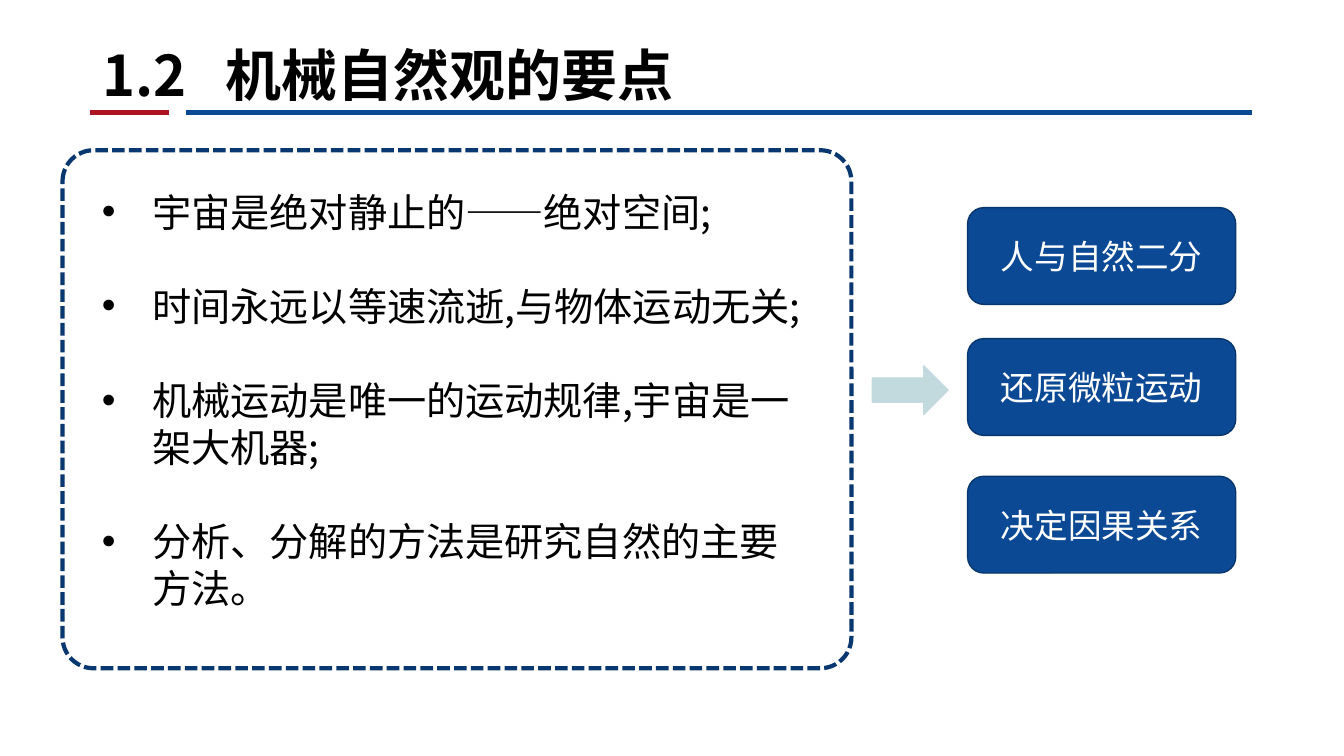
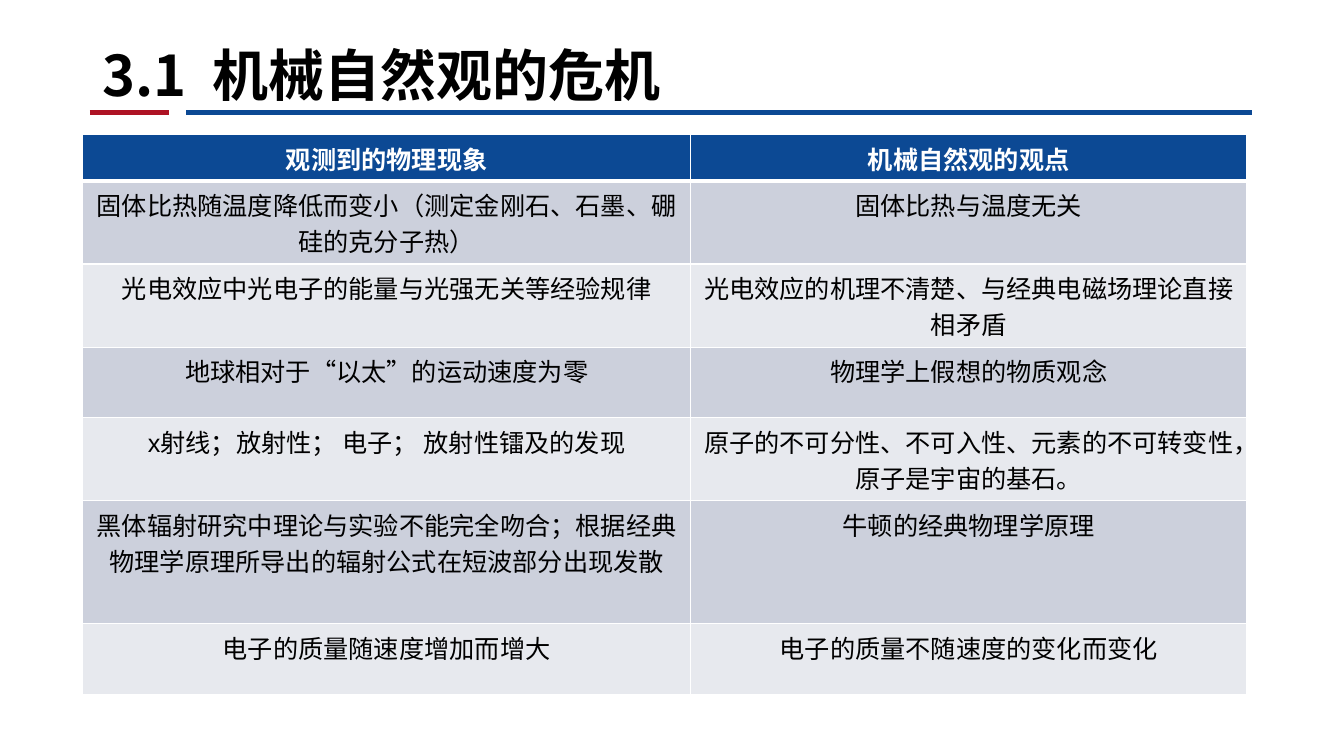
from dataclasses import dataclass

import pptx
import pptx.util
import pptx.dml.color
import pptx.enum.dml
import pptx.enum.shapes
import pptx.enum.text
import pptx.oxml
import pptx.oxml.ns
from lxml import etree

Pt = pptx.util.Pt
SHAPE = pptx.enum.shapes.MSO_SHAPE
ALIGN = pptx.enum.text.PP_ALIGN
ANCHOR = pptx.enum.text.MSO_ANCHOR
qn = pptx.oxml.ns.qn

COLORS = {
    "blue": "0C4994", "red": "AE1324", "edge": "09366D", "frame": "09376F",
    "arrow": "C2DADD", "dark_band": "CCD0DC", "light_band": "E7E9EE",
    "white": "FFFFFF", "black": "000000",
}
CJK = "Noto Sans CJK SC"
WIDTH, HEIGHT = pptx.util.Inches(13.333), pptx.util.Inches(7.5)


@dataclass
class Box:
    """A rectangle in percent of the slide's width and height."""
    left: float
    top: float
    width: float
    height: float

    def emu(self) -> tuple:
        return x(self.left), y(self.top), x(self.width), y(self.height)


@dataclass
class TextStyle:
    size: float
    color: str = "black"
    bold: bool = False
    latin: str = CJK


@dataclass
class Rule:
    start: float
    end: float
    color: str


@dataclass
class Title:
    number: str
    heading: str
    tab: float


@dataclass
class Card:
    top: float
    text: str


RULE_Y = 14.93
RULES = [Rule(6.68, 12.58, "red"), Rule(13.85, 93.15, "blue")]
TITLE_STYLE = TextStyle(40, bold=True)
BODY_STYLE = TextStyle(28)
CARD_STYLE = TextStyle(24, "white")
HEAD_STYLE = TextStyle(18, "white", True, "Arial")
CELL_STYLE = TextStyle(18, latin="Arial")
BODY_LINE = Pt(33.6)

POINTS = [
    "宇宙是绝对静止的——绝对空间;",
    "时间永远以等速流逝,与物体运动无关;",
    "机械运动是唯一的运动规律,宇宙是一架大机器;",
    "分析、分解的方法是研究自然的主要方法。",
]
CARDS = [Card(27.47, "人与自然二分"), Card(44.8, "还原微粒运动"),
         Card(63, "决定因果关系")]
COL_WIDTHS = [45.23, 41.4]
ROW_HEIGHTS = [6.1, 11, 11, 9.33, 11, 16.27, 9.33]
TABLE_ROWS = [
    ("观测到的物理现象", "机械自然观的观点"),
    ("固体比热随温度降低而变小（测定金刚石、石墨、硼硅的克分子热）", "固体比热与温度无关"),
    ("光电效应中光电子的能量与光强无关等经验规律",
     "光电效应的机理不清楚、与经典电磁场理论直接相矛盾"),
    ("地球相对于“以太”的运动速度为零", "物理学上假想的物质观念"),
    ("x射线；放射性； 电子； 放射性镭及的发现",
     "原子的不可分性、不可入性、元素的不可转变性，原子是宇宙的基石。"),
    ("黑体辐射研究中理论与实验不能完全吻合；根据经典物理学原理所导出的辐射公式在短波部分出现发散",
     "牛顿的经典物理学原理"),
    ("电子的质量随速度增加而增大", "电子的质量不随速度的变化而变化"),
]


def x(share: float) -> int:
    return round(WIDTH * share / 100)


def y(share: float) -> int:
    return round(HEIGHT * share / 100)


def rgb(name: str) -> pptx.dml.color.RGBColor:
    return pptx.dml.color.RGBColor.from_string(COLORS[name])


def style_paragraph(p, style: TextStyle) -> None:
    font = p.font
    font.size, font.bold = Pt(style.size), style.bold
    font.color.rgb = rgb(style.color)
    font.name = style.latin
    props = p._p.get_or_add_pPr().find(qn("a:defRPr"))
    etree.SubElement(props, qn("a:ea")).set("typeface", CJK)


def add_text(slide, box: Box):
    tf = slide.shapes.add_textbox(*box.emu()).text_frame
    tf.word_wrap = True
    return tf


def add_shape(slide, kind, box: Box, fill: str | None, line: str, weight: float = 1):
    sp = slide.shapes.add_shape(kind, *box.emu())
    sp.shadow.inherit = False
    if fill:
        sp.fill.solid()
        sp.fill.fore_color.rgb = rgb(fill)
    else:
        sp.fill.background()
    sp.line.color.rgb = rgb(line)
    sp.line.width = Pt(weight)
    return sp


def add_base_slide(prs, title: Title):
    """Blank slide with the shared rules and title."""
    slide = prs.slides.add_slide(prs.slide_layouts[6])
    for rule in RULES:
        line = slide.shapes.add_connector(
            pptx.enum.shapes.MSO_CONNECTOR.STRAIGHT,
            x(rule.start), y(RULE_Y), x(rule.end), y(RULE_Y))
        line.line.color.rgb = rgb(rule.color)
        line.line.width = Pt(3.5)
        etree.SubElement(line._element.spPr, qn("a:effectLst"))

    tf = add_text(slide, Box(6.9, 0, 86.25, RULE_Y))
    tf.vertical_anchor = ANCHOR.BOTTOM
    p = tf.paragraphs[0]
    p.text = f"{title.number}\t{title.heading}"
    tabs = etree.SubElement(p._p.get_or_add_pPr(), qn("a:tabLst"))
    etree.SubElement(tabs, qn("a:tab"), pos=str(x(title.tab)), algn="l")
    style_paragraph(p, TITLE_STYLE)
    return slide


def add_bullets(slide, box: Box, points: list[str]) -> None:
    tf = add_text(slide, box)
    indent = pptx.util.Inches(0.5)
    for i, point in enumerate(points):
        p = tf.add_paragraph() if i else tf.paragraphs[0]
        p.text = point
        p.line_spacing = BODY_LINE
        if i:
            p.space_before = BODY_LINE
        props = p._p.get_or_add_pPr()
        props.set("marL", str(indent))
        props.set("indent", str(-indent))
        etree.SubElement(props, qn("a:buFont")).set("typeface", "Arial")
        etree.SubElement(props, qn("a:buChar")).set("char", "•")
        style_paragraph(p, BODY_STYLE)


def add_card(slide, card: Card) -> None:
    sp = add_shape(slide, SHAPE.ROUNDED_RECTANGLE,
                   Box(72, card.top, 19.95, 12.8), "blue", "edge")
    tf = sp.text_frame
    tf.vertical_anchor = ANCHOR.MIDDLE
    p = tf.paragraphs[0]
    p.text = card.text
    p.alignment = ALIGN.CENTER
    style_paragraph(p, CARD_STYLE)


def set_borders(cell, top: float, bottom: float) -> None:
    props = cell._tc.get_or_add_tcPr()
    for side, weight in (("L", 1), ("R", 1), ("T", top), ("B", bottom)):
        ln = etree.SubElement(props, qn(f"a:ln{side}"), w=str(Pt(weight)))
        fill = etree.SubElement(ln, qn("a:solidFill"))
        etree.SubElement(fill, qn("a:srgbClr"), val=COLORS["white"])


def add_comparison_table(slide) -> None:
    box = Box(6.15, 17.83, sum(COL_WIDTHS), sum(ROW_HEIGHTS))
    table = slide.shapes.add_table(
        len(TABLE_ROWS), len(COL_WIDTHS), *box.emu()).table
    for column, width in zip(table.columns, COL_WIDTHS):
        column.width = x(width)
    for i, (height, texts) in enumerate(zip(ROW_HEIGHTS, TABLE_ROWS)):
        table.rows[i].height = y(height)
        band = "blue" if i == 0 else "dark_band" if i % 2 else "light_band"
        for j, text in enumerate(texts):
            cell = table.cell(i, j)
            set_borders(cell, 3 if i == 1 else 1, 3 if i == 0 else 1)
            cell.fill.solid()
            cell.fill.fore_color.rgb = rgb(band)
            p = cell.text_frame.paragraphs[0]
            p.text = text
            p.alignment = ALIGN.CENTER
            style_paragraph(p, CELL_STYLE if i else HEAD_STYLE)


def build_key_points(prs) -> None:
    slide = add_base_slide(prs, Title("1.2", "机械自然观的要点", 9.15))
    add_bullets(slide, Box(6.85, 24.2, 54.23, 64.1), POINTS)
    for card in CARDS:
        add_card(slide, card)
    add_shape(slide, SHAPE.RIGHT_ARROW, Box(64.91, 48.4, 5.63, 6.4), "arrow", "arrow")
    # Dashed frame around the bullets
    frame = add_shape(slide, SHAPE.ROUNDED_RECTANGLE,
                      Box(4.65, 19.87, 58.7, 68.53), None, "frame", 3)
    frame.adjustments[0] = 0.06
    frame.line.dash_style = pptx.enum.dml.MSO_LINE.SQUARE_DOT


def build_crisis(prs) -> None:
    slide = add_base_slide(prs, Title("3.1", "机械自然观的危机", 8.2))
    add_comparison_table(slide)


def main() -> None:
    prs = pptx.Presentation()
    prs.slide_width, prs.slide_height = WIDTH, HEIGHT
    build_key_points(prs)
    build_crisis(prs)
    prs.save("out.pptx")


if __name__ == "__main__":
    main()
